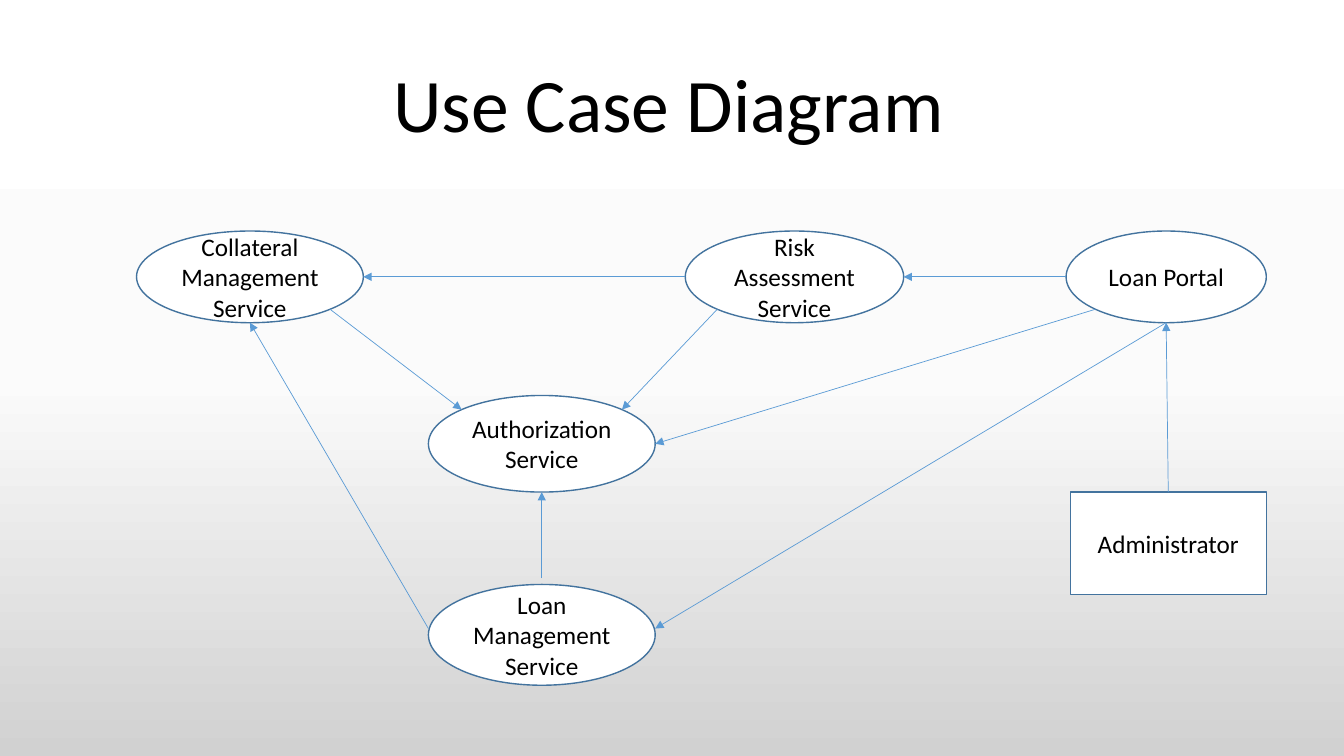
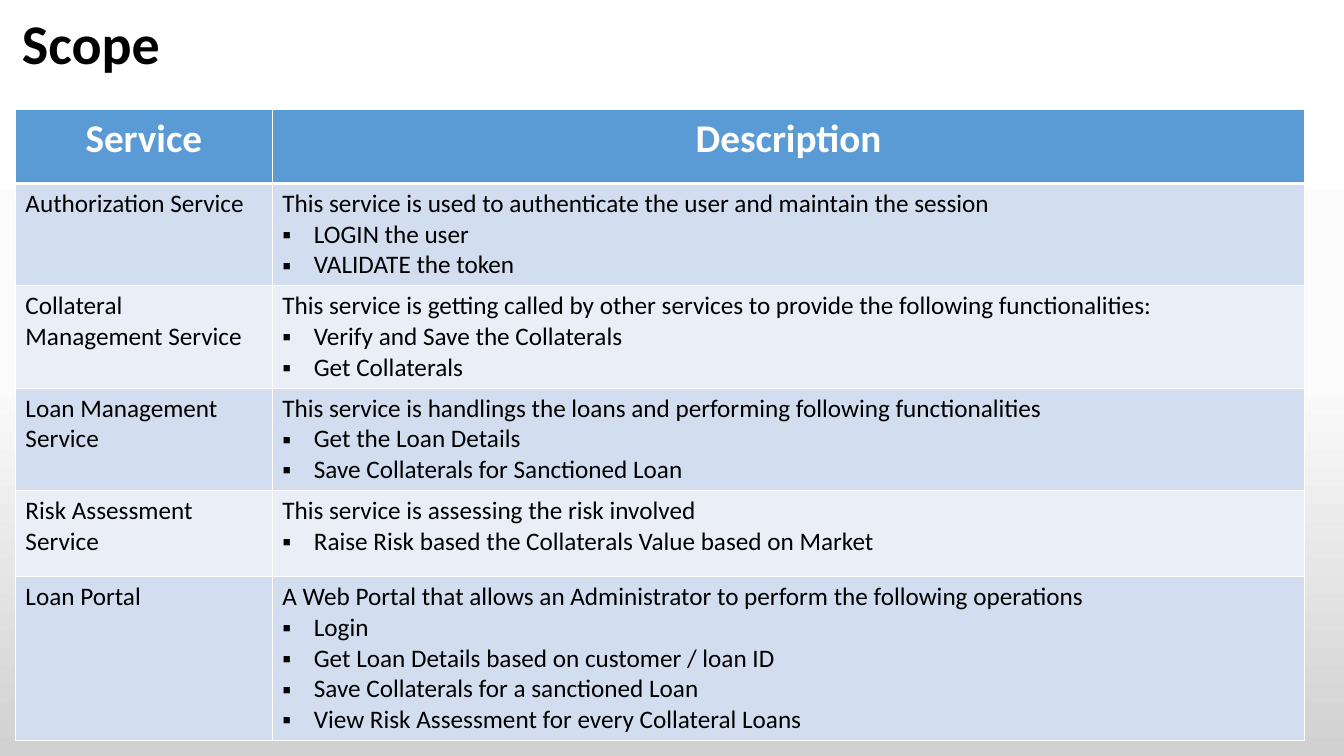
from copy import deepcopy
from math import sqrt

from lxml import etree
from pptx import Presentation
from pptx import util as u
from pptx.dml.color import RGBColor
from pptx.enum import shapes, text
from pptx.oxml import ns

BLACK = RGBColor(0x00, 0x00, 0x00)
WHITE = RGBColor(0xFF, 0xFF, 0xFF)
MIST = RGBColor(0xFB, 0xFB, 0xFB)
GREY = RGBColor(0xD1, 0xD1, 0xD1)
BLUE = RGBColor(0x5B, 0x9B, 0xD5)
NAVY = RGBColor(0x43, 0x73, 0x9E)
BANDS = RGBColor(0xD2, 0xDE, 0xEF), RGBColor(0xEA, 0xEF, 0xF7)
FONT = "Calibri"
LEFT, MID = text.PP_ALIGN.LEFT, text.PP_ALIGN.CENTER
OVAL, RECT = shapes.MSO_SHAPE.OVAL, shapes.MSO_SHAPE.RECTANGLE
DIAG = 1 / sqrt(2)
SITES = {"top": (0, -1), "base": (0, 1), "left": (-1, 0), "right": (1, 0),
         "nw": (-DIAG, -DIAG), "ne": (DIAG, -DIAG),
         "sw": (-DIAG, DIAG), "se": (DIAG, DIAG)}


def node(parent, tag, **attrs):
    child = etree.SubElement(parent, ns.qn(tag))
    for key, value in attrs.items():
        child.set(key, str(value))
    return child


def write(frame, words, size=18, color=BLACK, bold=False, align=MID, space=None, dots=False):
    frame.text = words
    frame.word_wrap = True
    for i, para in enumerate(frame.paragraphs):
        para.alignment = align
        if space:
            para.line_spacing = space
        font = para.runs[0].font
        font.name, font.size, font.bold = FONT, u.Pt(size), bold
        font.color.rgb = color
        if dots and i:
            props = para._p.get_or_add_pPr()
            props.set("marL", str(u.Pt(22.5)))
            props.set("indent", str(u.Pt(-22.5)))
            node(props, "a:buFont", typeface="Arial")
            node(props, "a:buChar", char="▪")


class Deck:
    def __init__(self):
        self.file = Presentation()
        self.file.slide_width, self.file.slide_height = u.Pt(960), u.Pt(540)
        self.slide = None
        master = self.file.slide_master
        fill = master.background.fill
        fill.gradient()
        fill.gradient_angle = 270
        stops = master.element.find(".//" + ns.qn("a:gsLst"))
        stops.append(deepcopy(stops[-1]))
        for stop, place, color in zip(fill.gradient_stops, (0, 0.5, 1), (WHITE, MIST, GREY)):
            stop.position = place
            stop.color.rgb = color

    def page(self, title, x, y, w, h, **style):
        self.slide = self.file.slides.add_slide(self.file.slide_layouts[0])
        sub = self.slide.placeholders[1].element
        sub.getparent().remove(sub)
        head = self.slide.shapes.title
        head.left, head.top, head.width, head.height = map(u.Pt, (x, y, w, h))
        head.text_frame.vertical_anchor = text.MSO_ANCHOR.BOTTOM
        head.text_frame.auto_size = text.MSO_AUTO_SIZE.NONE
        write(head.text_frame, title, space=0.9, **style)

    def box(self, words, x, y, w, h, kind=OVAL):
        shape = self.slide.shapes.add_shape(kind, *map(u.Pt, (x, y, w, h)))
        shape.shadow.inherit = False
        shape.fill.solid()
        shape.fill.fore_color.rgb = WHITE
        shape.line.color.rgb = NAVY
        shape.line.width = u.Pt(1)
        write(shape.text_frame, words)
        return shape

    def spot(self, shape, site):
        dx, dy = SITES[site]
        return (int(shape.left + shape.width * (1 + dx) / 2),
                int(shape.top + shape.height * (1 + dy) / 2))

    def link(self, start, out, end, into, rise=(0, 0)):
        x1, y1 = self.spot(start, out)
        x2, y2 = self.spot(end, into)
        line = self.slide.shapes.add_connector(
            shapes.MSO_CONNECTOR.STRAIGHT,
            x1, y1 - u.Pt(rise[0]), x2, y2 - u.Pt(rise[1]))
        line.line.color.rgb = BLUE
        line.line.width = u.Pt(0.5)
        node(line.line._get_or_add_ln(), "a:tailEnd", type="triangle")
        node(line.element.spPr, "a:effectLst")

    def cell(self, cell, words, fill, top=1, base=1, **style):
        props = cell._tc.get_or_add_tcPr()
        for side, wide in zip("LRTB", (1, 1, top, base)):
            edge = node(props, "a:ln" + side, w=u.Pt(wide))
            node(node(edge, "a:solidFill"), "a:srgbClr", val=WHITE)
        cell.fill.solid()
        cell.fill.fore_color.rgb = fill
        write(cell.text_frame, words, **style)

    def table(self, x, y, cols, tall, heads, rows):
        grid = self.slide.shapes.add_table(
            len(tall), len(cols), *map(u.Pt, (x, y, sum(cols), sum(tall)))).table
        grid.horz_banding = False
        for col, size in zip(grid.columns, cols):
            col.width = u.Pt(size)
        for row, size in zip(grid.rows, tall):
            row.height = u.Pt(size)
        for j, words in enumerate(heads):
            self.cell(grid.cell(0, j), words, BLUE, base=3, size=28, color=WHITE, bold=True)
        for i, row in enumerate(rows):
            for j, words in enumerate(row):
                self.cell(grid.cell(i + 1, j), words, BANDS[i % 2],
                          top=1 if i else 3, align=LEFT, dots=j == 1)


ROWS = [
    ("Authorization Service",
     "This service is used to authenticate the user and maintain the session\n"
     "LOGIN the user\nVALIDATE the token"),
    ("Collateral Management Service",
     "This service is getting called by other services to provide the following functionalities:\n"
     "Verify and Save the Collaterals\nGet Collaterals"),
    ("Loan Management Service",
     "This service is handlings the loans and performing following functionalities\n"
     "Get the Loan Details\nSave Collaterals for Sanctioned Loan"),
    ("Risk Assessment Service",
     "This service is assessing the risk involved\n"
     "Raise Risk based the Collaterals Value based on Market"),
    ("Loan Portal",
     "A Web Portal that allows an Administrator to perform the following operations\n"
     "Login\nGet Loan Details based on customer / loan ID\n"
     "Save Collaterals for a sanctioned Loan\nView Risk Assessment for every Collateral Loans"),
]


def main():
    deck = Deck()
    deck.page("Use Case Diagram", 97.5, 44.5, 760, 65.5, size=54)
    goods = deck.box("Collateral Management Service", 97.5, 165, 162, 65.5)
    risk = deck.box("Risk Assessment Service", 489.5, 165, 156, 65.5)
    auth = deck.box("Authorization Service", 306, 282.5, 162, 69)
    loan = deck.box("Loan Management Service", 306, 417.5, 162, 72)
    portal = deck.box("Loan Portal", 761.5, 165, 143, 65.5)
    admin = deck.box("Administrator", 764.5, 351.5, 140, 73, RECT)
    deck.link(risk, "sw", auth, "ne")
    deck.link(goods, "se", auth, "nw")
    deck.link(loan, "top", auth, "base", rise=(4.5, 0))
    deck.link(risk, "left", goods, "right")
    deck.link(loan, "left", goods, "base", rise=(4.5, 0))
    deck.link(portal, "left", risk, "right")
    deck.link(portal, "base", loan, "right", rise=(0, 4.5))
    deck.link(portal, "sw", auth, "right")
    deck.link(admin, "top", portal, "base")

    deck.page("Scope", 8.5, 0, 819, 58.5, size=40, bold=True, align=LEFT)
    deck.table(11, 78.5, (183.5, 737.5), (52.5, 73, 73, 73, 61.5, 114),
               ("Service", "Description"), ROWS)
    deck.file.save("out.pptx")


if __name__ == "__main__":
    main()
